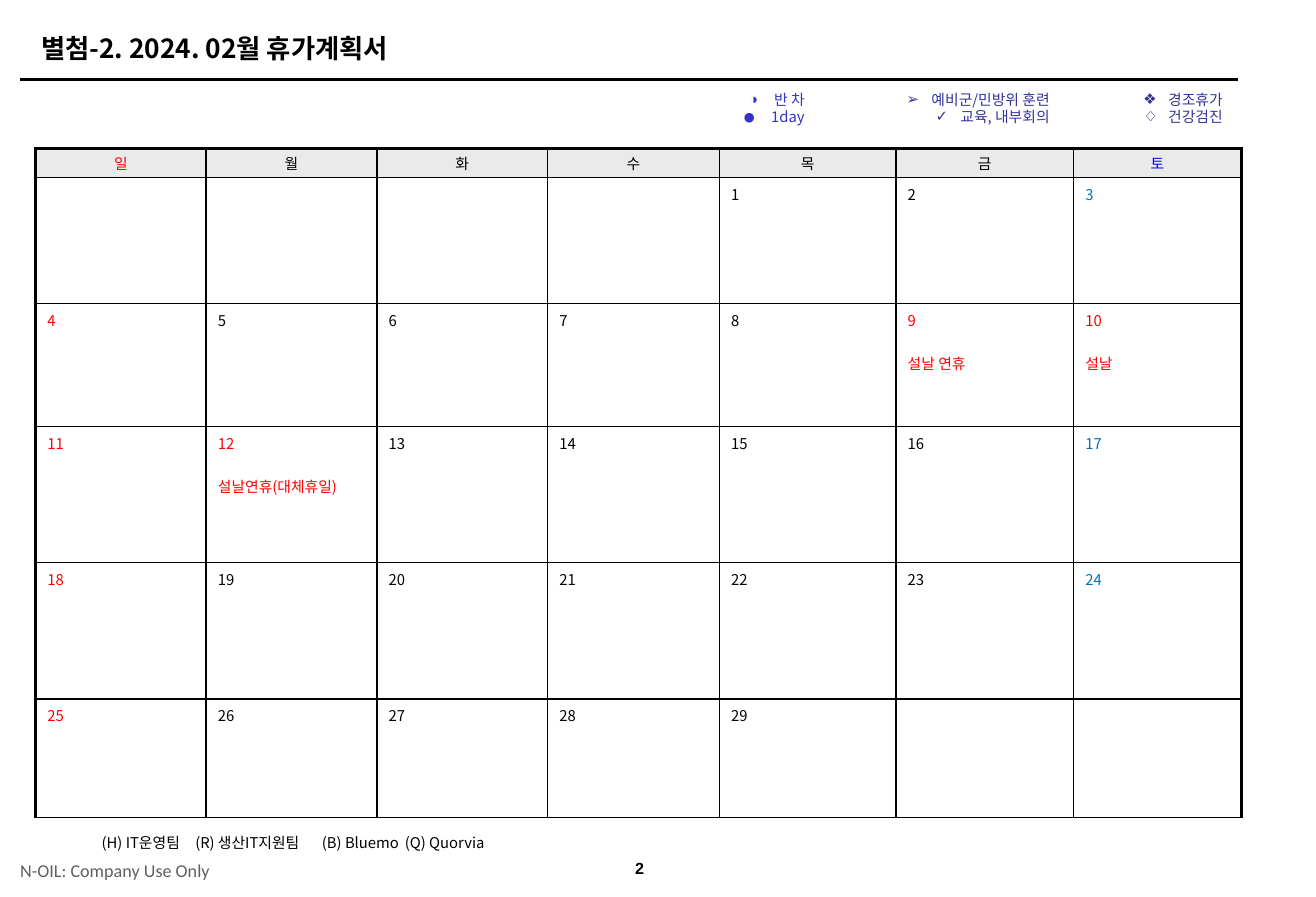
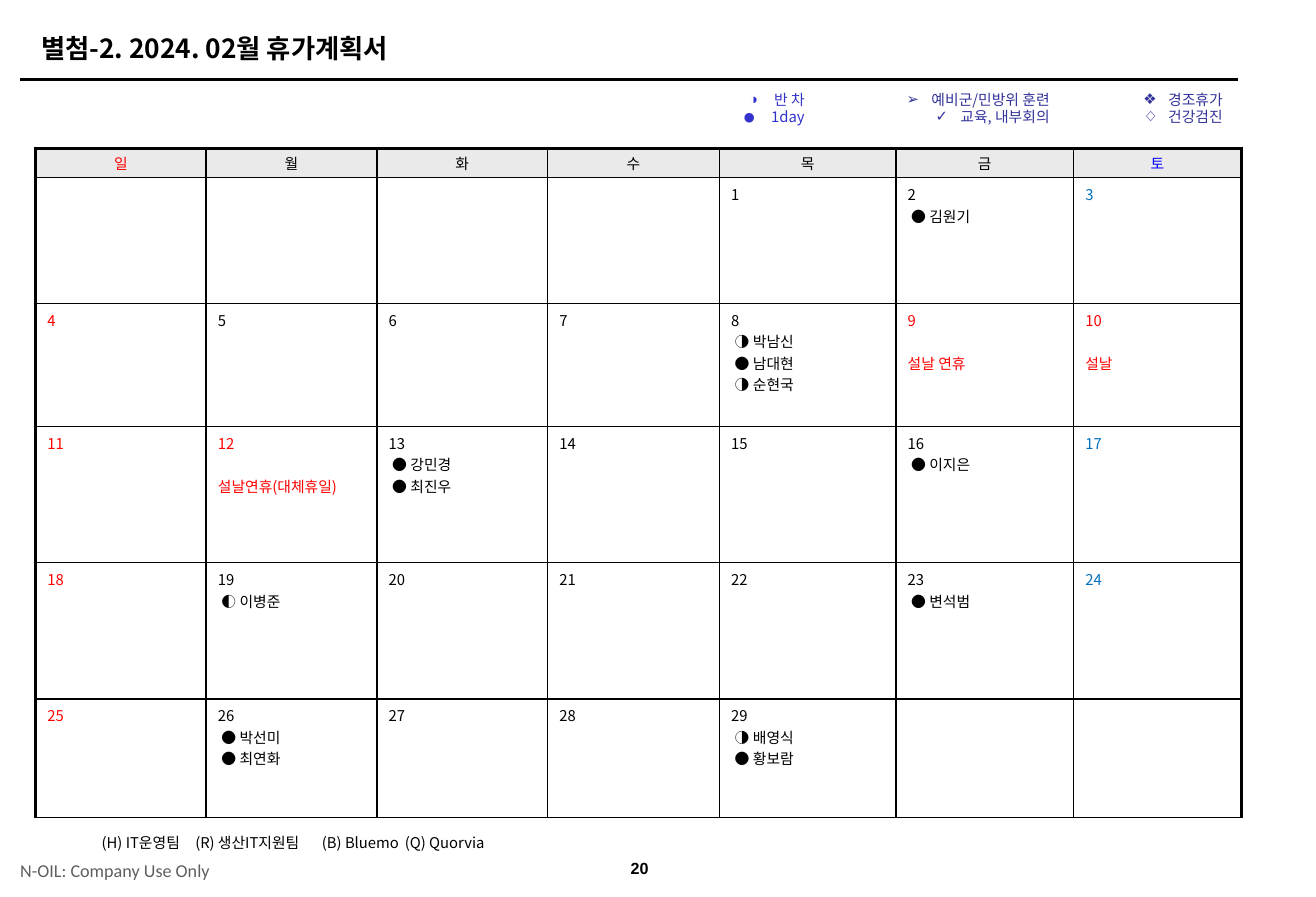
from dataclasses import dataclass

from lxml import etree
from pptx import Presentation
from pptx import util as u
from pptx.dml.color import RGBColor
from pptx.enum import shapes, text
from pptx.oxml import ns


@dataclass(frozen=True)
class Theme:
    """Colours, fonts and type sizes (points) shared by the slides."""
    black: str = "000000"
    sunday: str = "FF0000"
    saturday: str = "0070C0"
    saturday_head: str = "0000FF"
    head_fill: str = "EAEAEA"
    leave: str = "3333CC"
    event: str = "333399"
    muted: str = "5F5F5F"
    body_font: str = "Noto Sans CJK KR"
    page_font: str = "Arial"
    footer_font: str = "Calibri"
    title_size: float = 16
    footer_size: float = 11
    page_size: float = 9.8
    body_size: float = 9
    cell_line: float = 13
    legend_line: float = 10.4
    thin: float = 1
    rule: float = 1.5
    thick: float = 2


LEFT, CENTER, RIGHT = text.PP_ALIGN.LEFT, text.PP_ALIGN.CENTER, text.PP_ALIGN.RIGHT
MIDDLE = text.MSO_ANCHOR.MIDDLE

TITLE = "별첨-2. 2024. 02월 휴가계획서"
FOOTER = "N-OIL: Company Use Only"
TEAMS = ["(H) IT운영팀", "(R) 생산IT지원팀", "(B) Bluemo", "(Q) Quorvia"]
TEAM_STOPS = [0.79, 1.86, 2.56]  # inches from the text edge

# Calendar grid, in percent of the slide's width and height
WEEKDAYS = "일월화수목금토"
COLUMNS = [12.96, 12.98, 12.98, 13.05, 13.41, 13.5, 12.78]
ROWS = [3.3, 14, 13.74, 15.19, 15.19, 13.21]
FIRST_COLUMN, LAST_DAY = 4, 29
HOLIDAYS = {9: "설날 연휴", 10: "설날", 12: "설날연휴(대체휴일)"}

# Legend: box in percent, right inset in inches, colour name,
# then (bullet, bullet size in percent, hanging indent in inches, label)
LEGEND = [
    ((54.64, 9.51, 7.38, 5.28), 0.1, "leave",
     [("◑", 100, 0.21, "반 차"), ("●", 150, 0.24, "1day")]),
    ((66.7, 9.51, 14.22, 5.28), 0.13, "event",
     [("➢", 100, 0.21, "예비군/민방위 훈련"), ("✓", 100, 0.21, "교육, 내부회의")]),
    ((77.32, 9.51, 16.47, 5.28), 0.1, "event",
     [("❖", 100, 0.21, "경조휴가"), ("◇", 100, 0.21, "건강검진")]),
]

# Page number and the leave entered for each day
PAGES = [
    (2, {}),
    (20, {2: ["● 김원기"],
          8: ["◑ 박남신", "● 남대현", "◑ 순현국"],
          13: ["● 강민경", "● 최진우"],
          16: ["● 이지은"],
          19: ["◐ 이병준"],
          23: ["● 변석범"],
          26: ["● 박선미", "● 최연화"],
          29: ["◑ 배영식", "● 황보람"]}),
]


def child(parent, tag, **attributes):
    node = etree.SubElement(parent, ns.qn(tag))
    for key, value in attributes.items():
        node.set(key, str(value))
    return node


class Deck:
    def __init__(self, theme):
        self.theme = theme
        self.prs = Presentation()
        self.prs.slide_width, self.prs.slide_height = u.Inches(11.11), u.Inches(7.57)
        self.slide = None

    def x(self, percent):
        return u.Emu(round(self.prs.slide_width * percent / 100))

    def y(self, percent):
        return u.Emu(round(self.prs.slide_height * percent / 100))

    def area(self, box):
        left, top, width, height = box
        return self.x(left), self.y(top), self.x(width), self.y(height)

    def new_slide(self):
        self.slide = self.prs.slides.add_slide(self.prs.slide_layouts[5])

    def run(self, paragraph, words, color=None, size=None, font=None, bold=False):
        run = paragraph.add_run()
        run.text = words
        run.font.size = u.Pt(size or self.theme.body_size)
        run.font.bold = bold
        run.font.name = font or self.theme.body_font
        run.font.color.rgb = RGBColor.from_string(color or self.theme.black)
        latin = run.font._element.find(ns.qn("a:latin"))
        east_asian = etree.Element(ns.qn("a:ea"), typeface=run.font.name)
        latin.addnext(east_asian)

    def title(self, words):
        holder = self.slide.shapes.title
        holder.left, holder.top, holder.width, holder.height = self.area(
            (2.25, 2.91, 89.11, 4.89))
        frame = holder.text_frame
        frame.auto_size = text.MSO_AUTO_SIZE.NONE
        frame.vertical_anchor = MIDDLE
        frame.paragraphs[0].alignment = LEFT
        self.run(frame.paragraphs[0], words, size=self.theme.title_size, bold=True)

    def rule(self, left, right, top):
        line = self.slide.shapes.add_connector(
            shapes.MSO_CONNECTOR.STRAIGHT,
            self.x(left), self.y(top), self.x(right), self.y(top))
        line.line.color.rgb = RGBColor.from_string(self.theme.black)
        line.line.width = u.Pt(self.theme.rule)
        child(line._element.spPr, "a:effectLst")

    def frame(self, box, anchor=text.MSO_ANCHOR.TOP):
        frame = self.slide.shapes.add_textbox(*self.area(box)).text_frame
        frame.word_wrap = True
        frame.vertical_anchor = anchor
        return frame

    def label(self, box, words, align=LEFT, inset=0.0, **style):
        frame = self.frame(box, MIDDLE)
        frame.margin_left = frame.margin_right = u.Inches(inset)
        frame.margin_top = frame.margin_bottom = 0
        frame.paragraphs[0].alignment = align
        self.run(frame.paragraphs[0], words, **style)

    def legend(self, box, right_inset, color, entries):
        frame = self.frame(box)
        frame.margin_right = u.Inches(right_inset)
        for index, (mark, scale, indent, words) in enumerate(entries):
            line = frame.add_paragraph() if index else frame.paragraphs[0]
            line.alignment = RIGHT
            line.line_spacing = u.Pt(self.theme.legend_line)
            props = line._p.get_or_add_pPr()
            props.set("marL", str(u.Inches(indent)))
            props.set("indent", str(-u.Inches(indent)))
            child(child(props, "a:buClr"), "a:srgbClr", val=color)
            child(props, "a:buSzPct", val=scale * 1000)
            child(props, "a:buFont", typeface=self.theme.page_font)
            child(props, "a:buChar", char=mark)
            self.run(line, words, color)

    def tabbed_line(self, box, parts, stops):
        frame = self.frame(box, MIDDLE)
        line = frame.paragraphs[0]
        line.alignment = LEFT
        line.line_spacing = 0.95
        tabs = child(line._p.get_or_add_pPr(), "a:tabLst")
        for stop in stops:
            child(tabs, "a:tab", pos=u.Inches(stop), algn="l")
        self.run(line, "\t".join(parts))

    def borders(self, cell, **widths):
        props = cell._tc.get_or_add_tcPr()
        for index, side in enumerate("LRTB"):
            width = widths.get(side, self.theme.thin)
            line = etree.Element(ns.qn(f"a:ln{side}"), w=str(u.Pt(width)))
            child(child(line, "a:solidFill"), "a:srgbClr", val=self.theme.black)
            props.insert(index, line)

    def weekday(self, cell, name, color):
        cell.vertical_anchor = MIDDLE
        cell.margin_top = cell.margin_bottom = u.Inches(0.02)
        cell.text_frame.paragraphs[0].alignment = CENTER
        self.run(cell.text_frame.paragraphs[0], name, color)

    def day(self, cell, number, color, holiday, entries):
        frame = cell.text_frame
        frame.paragraphs[0].line_spacing = u.Pt(self.theme.cell_line)
        self.run(frame.paragraphs[0], str(number), color)
        for words in ([holiday] if holiday else []) + entries:
            line = frame.add_paragraph()
            line.line_spacing = u.Pt(self.theme.cell_line)
            if words == holiday:
                line.space_before = u.Pt(self.theme.cell_line)
            else:
                line._p.get_or_add_pPr().set("marL", str(u.Inches(0.03)))
            self.run(line, words, color)

    def calendar(self, left, top, leave):
        theme = self.theme
        table = self.slide.shapes.add_table(
            len(ROWS), len(COLUMNS),
            *self.area((left, top, sum(COLUMNS), sum(ROWS)))).table
        table.first_row = table.horz_banding = False
        for column, width in zip(table.columns, COLUMNS):
            column.width = self.x(width)
        for row, height in zip(table.rows, ROWS):
            row.height = self.y(height)

        last = len(COLUMNS) - 1
        head_colors = {0: theme.sunday, last: theme.saturday_head}
        day_colors = {0: theme.sunday, last: theme.saturday}
        for r in range(len(ROWS)):
            for c in range(len(COLUMNS)):
                cell = table.cell(r, c)
                if r == 0:
                    cell.fill.solid()
                    cell.fill.fore_color.rgb = RGBColor.from_string(theme.head_fill)
                    self.weekday(cell, WEEKDAYS[c], head_colors.get(c))
                else:
                    cell.fill.background()
                    number = (r - 1) * len(COLUMNS) + c - FIRST_COLUMN + 1
                    if 1 <= number <= LAST_DAY:
                        holiday = HOLIDAYS.get(number)
                        color = theme.sunday if holiday else day_colors.get(c)
                        self.day(cell, number, color, holiday, leave.get(number, []))
                outer = {"L": c == 0, "R": c == last, "T": r == 0}
                self.borders(cell, **{s: theme.thick for s, edge in outer.items() if edge})


def main():
    theme = Theme()
    deck = Deck(theme)
    for page, leave in PAGES:
        deck.new_slide()
        # Header
        deck.rule(1.53, 94.06, 8.85)
        deck.title(TITLE)
        # Calendar and its legend
        deck.calendar(2.7, 16.51, leave)
        for box, inset, color, entries in LEGEND:
            deck.legend(box, inset, getattr(theme, color), entries)
        # Team key, wide enough to stay on one line
        deck.tabbed_line((6.84, 92.47, 45, 3.17), TEAMS, TEAM_STOPS)
        # Footer
        deck.label((46.17, 94.72, 4.86, 4.1), str(page), CENTER,
                   size=theme.page_size, font=theme.page_font, bold=True)
        deck.label((1.53, 94.98, 17, 4.1), FOOTER, color=theme.muted,
                   size=theme.footer_size, font=theme.footer_font)
    deck.prs.save("out.pptx")


if __name__ == "__main__":
    main()
